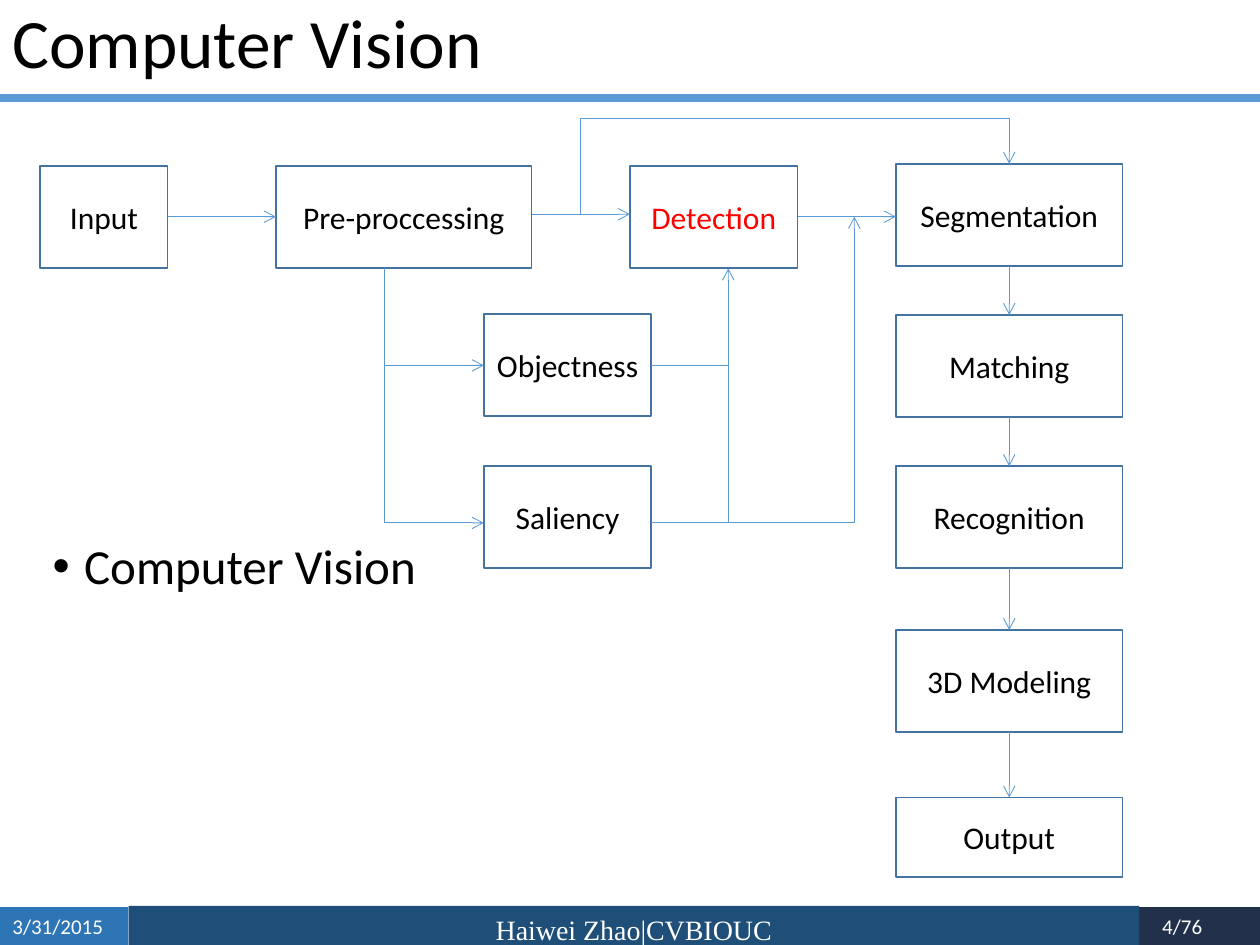
from itertools import pairwise

from lxml import etree
from pptx import Presentation
from pptx.dml.color import RGBColor
from pptx.enum.shapes import MSO_CONNECTOR, MSO_SHAPE
from pptx.enum.text import MSO_ANCHOR, PP_ALIGN
from pptx.oxml.ns import qn
from pptx.util import Inches, Pt

RECTANGLE = MSO_SHAPE.RECTANGLE
STRAIGHT = MSO_CONNECTOR.STRAIGHT
TOP, MIDDLE = MSO_ANCHOR.TOP, MSO_ANCHOR.MIDDLE
LEFT, CENTER, RIGHT = PP_ALIGN.LEFT, PP_ALIGN.CENTER, PP_ALIGN.RIGHT
COLUMNS, ROWS = 100, 75
CELL = Inches(10) / COLUMNS
BLUE, BORDER = "5B9BD5", "43739E"


def color(value):
    """Turn a hex string into a color."""
    return RGBColor.from_string(value)


def cells(*values):
    """Turn grid cells into slide lengths."""
    return [round(value * CELL) for value in values]


def add_panel(slide, box, fill, border=None):
    """Add a filled rectangle with an optional border."""
    shape = slide.shapes.add_shape(RECTANGLE, *cells(*box))
    shape.shadow.inherit = False
    shape.fill.solid()
    shape.fill.fore_color.rgb = color(fill)
    if border:
        shape.line.color.rgb = color(border)
        shape.line.width = Pt(1)
    else:
        shape.line.fill.background()
    return shape


def write(shape, text, size=18, font="Calibri", ink="000000", align=LEFT,
          anchor=TOP, spacing=1.0, bullet=None):
    """Write one formatted paragraph into a shape."""
    frame = shape.text_frame
    frame.word_wrap = True
    frame.vertical_anchor = anchor
    paragraph = frame.paragraphs[0]
    paragraph.text = text
    paragraph.alignment = align
    paragraph.line_spacing = spacing
    if bullet:
        properties = paragraph._p.get_or_add_pPr()
        properties.set("marL", str(Inches(0.25)))
        properties.set("indent", str(-Inches(0.25)))
        etree.SubElement(properties, qn("a:buFont")).set("typeface", "Arial")
        etree.SubElement(properties, qn("a:buChar")).set("char", bullet)
    paragraph.font.size = Pt(size)
    paragraph.font.name = font
    paragraph.font.color.rgb = color(ink)


def add_line(slide, start, end, width=0.5, arrow=False):
    """Add a straight line with an optional open arrowhead."""
    line = slide.shapes.add_connector(STRAIGHT, *cells(*start, *end))
    line.line.color.rgb = color(BLUE)
    line.line.width = Pt(width)
    if arrow:
        outline = line.line._get_or_add_ln()
        etree.SubElement(outline, qn("a:tailEnd")).set("type", "arrow")
    etree.SubElement(line._element.spPr, qn("a:effectLst"))


def add_footer(slide, box):
    """Place the date, author and page number bands."""
    left, top, width, height = box
    date, page = 10.2, 9.6
    add_panel(slide, (left + width - page, top, page, height), "22304B")
    author = add_panel(
        slide, (left + date, top - 0.1, width - date - page, 3.7), "1F4E79")
    write(author, "Haiwei Zhao|CVBIOUC", size=16, font="Times New Roman",
          ink="FFFFFF", align=CENTER)
    write(add_panel(slide, (left, top, date, height), "2E75B6"),
          "3/31/2015", size=12, ink="FFFFFF")
    number = slide.shapes.add_textbox(
        *cells(left + width - 11, top, 7.4, height))
    write(number, "4/76", size=12, ink="FFFFFF", align=RIGHT)


def add_header(slide, box):
    """Place the title above its full-width rule."""
    left, top, width, height = box
    add_line(slide, (left, top + height), (left + width, top + height), 4.5)
    title = add_panel(slide, (left, top, 91.6, height - 0.5), "FFFFFF")
    write(title, "Computer Vision", size=39.6, anchor=MIDDLE, spacing=0.9)


def add_body(slide, box):
    """Place the bulleted statement."""
    write(slide.shapes.add_textbox(*cells(*box)), "Computer Vision",
          size=28, spacing=0.9, bullet="•")


def add_diagram(slide, box):
    """Place the processing steps and the arrows between them."""
    left, top, width, height = box
    step, last = 8.1, 6.3
    chain_width, branch_width = 18, 13.3
    chain = width - chain_width
    center = chain + chain_width / 2
    first, second, third = 3.8, 15.5, 27.6
    middle, objectness, saliency = 7.8, 19.6, 32.1
    split, merge, bypass, skip = 27.3, 54.6, 64.6, 42.9
    branch, detection = 35.2, 46.8
    branch_end, detection_end = branch + branch_width, detection + branch_width

    steps = [
        ("Input", 0, first, 10.1, step),
        ("Pre-proccessing", 18.7, first, 20.3, step),
        ("Detection", detection, first, branch_width, step),
        ("Objectness", branch, second, branch_width, step),
        ("Saliency", branch, third, branch_width, step),
    ]
    chain_tops = [3.6, 15.6, 27.6, 40.6, height - last]
    chain_names = ["Segmentation", "Matching", "Recognition", "3D Modeling",
                   "Output"]
    for name, row in zip(chain_names, chain_tops):
        tall = last if name == "Output" else step
        steps.append((name, chain, row, chain_width, tall))
    for name, column, row, wide, tall in steps:
        panel = add_panel(slide, (left + column, top + row, wide, tall),
                          "FFFFFF", BORDER)
        write(panel, name, align=CENTER, anchor=MIDDLE,
              ink="FF0000" if name == "Detection" else "000000")

    arrows = [
        [(10.1, middle), (18.7, middle)],
        [(39, 7.6), (detection, 7.6)],
        [(detection_end, middle), (chain, middle)],
        [(skip, 7.6), (skip, 0), (center, 0), (center, chain_tops[0])],
        [(split, first + step), (split, objectness), (branch, objectness)],
        [(split, objectness), (split, saliency), (branch, saliency)],
        [(branch_end, objectness), (merge, objectness), (merge, first + step)],
        [(branch_end, saliency), (bypass, saliency), (bypass, middle)],
    ]
    arrows += [[(center, upper + step), (center, lower)]
               for upper, lower in pairwise(chain_tops)]
    joint = [(merge, objectness), (merge, saliency)]
    for route in arrows + [joint]:
        points = [(left + column, top + row) for column, row in route]
        for start, end in pairwise(points):
            add_line(slide, start, end,
                     arrow=route is not joint and end == points[-1])


def main():
    """Build and save the slide."""
    presentation = Presentation()
    presentation.slide_width, presentation.slide_height = cells(COLUMNS, ROWS)
    slide = presentation.slides.add_slide(presentation.slide_layouts[6])
    add_footer(slide, (0, ROWS - 3, COLUMNS, 3))
    add_header(slide, (0, 0, COLUMNS, 7.8))
    add_body(slide, (3.2, 42.5, 34, 6))
    add_diagram(slide, (3.2, 9.4, 85.9, 60.2))
    presentation.save("out.pptx")


if __name__ == "__main__":
    main()
